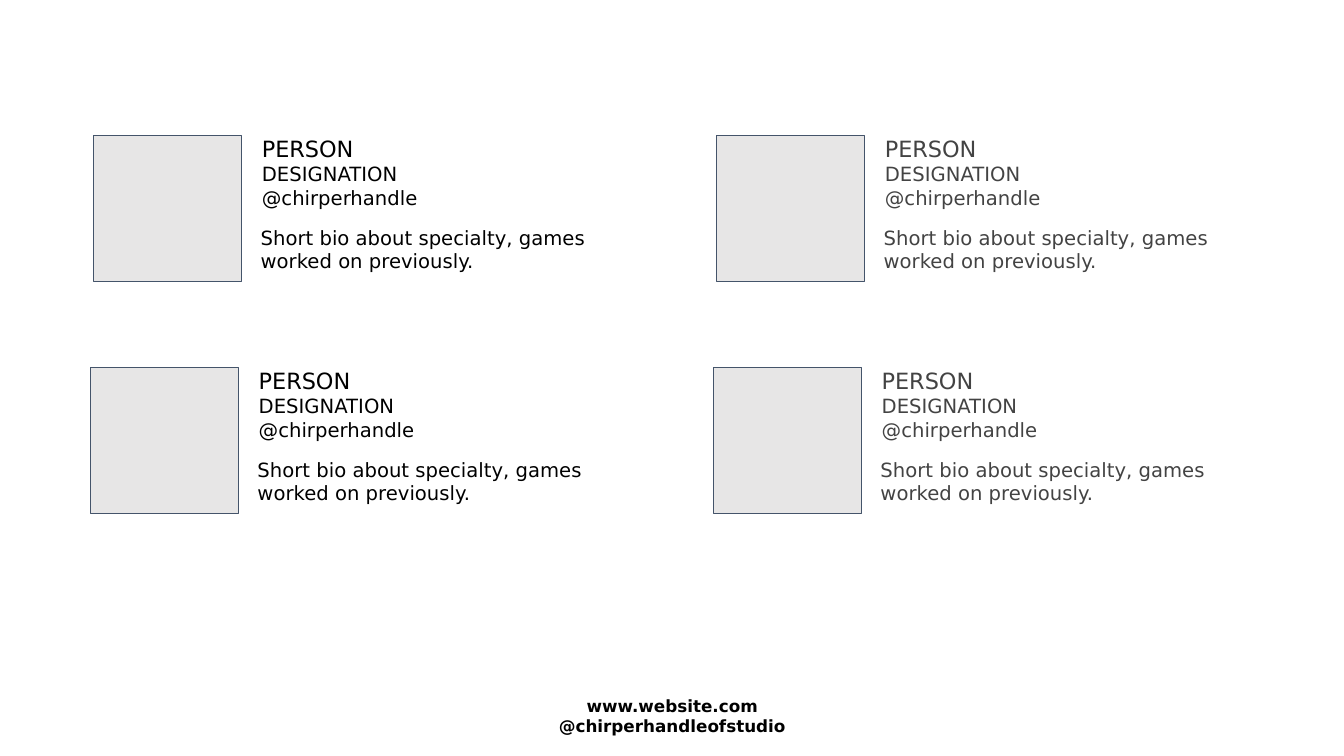
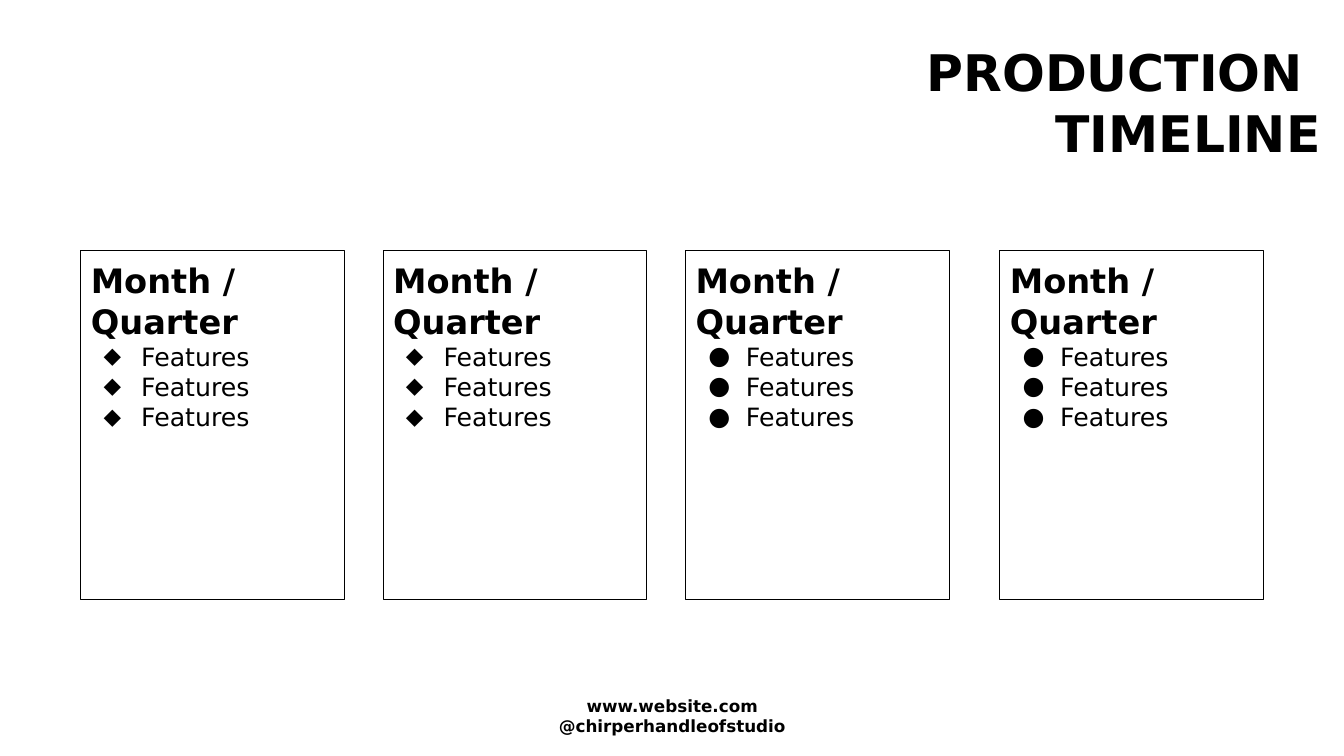
import pptx
import pptx.dml.color
import pptx.enum.shapes
import pptx.enum.text
import pptx.oxml.ns
import pptx.util
from lxml import etree

Cm = pptx.util.Cm
Pt = pptx.util.Pt
ALIGN = pptx.enum.text.PP_ALIGN
RECT = pptx.enum.shapes.MSO_SHAPE.RECTANGLE
FONT = "DejaVu Sans"
COLORS = {"black": "000000", "gray": "434343", "photo": "E7E6E6", "photo_line": "44546A"}


def rgb(name):
    return pptx.dml.color.RGBColor.from_string(COLORS[name])


def write(sp, lines, size=14, bold=False, color="black", align=ALIGN.LEFT, bullet=None):
    """Append one paragraph per line to the shape, filling an empty first one."""
    tf = sp.text_frame
    tf.word_wrap = True
    tf.vertical_anchor = pptx.enum.text.MSO_ANCHOR.TOP
    tf.margin_left = tf.margin_right = tf.margin_top = tf.margin_bottom = Cm(0.25)
    for line in lines:
        p = tf.add_paragraph() if tf.text else tf.paragraphs[0]
        p.alignment = align
        r = p.add_run()
        r.text = line
        r.font.name = FONT
        r.font.size = Pt(size)
        r.font.bold = bold
        r.font.color.rgb = rgb(color)
        if bullet:
            pPr = p._p.get_or_add_pPr()
            pPr.set("marL", str(Cm(1.27)))
            pPr.set("indent", str(-Cm(0.95)))
            buClr = etree.SubElement(pPr, pptx.oxml.ns.qn("a:buClr"))
            etree.SubElement(buClr, pptx.oxml.ns.qn("a:srgbClr"), val=COLORS[color])
            etree.SubElement(pPr, pptx.oxml.ns.qn("a:buFont"), typeface=FONT)
            etree.SubElement(pPr, pptx.oxml.ns.qn("a:buChar"), char=bullet)


prs = pptx.Presentation()
prs.slide_width = Cm(33.87)
prs.slide_height = Cm(19.05)
team, timeline = [prs.slides.add_slide(prs.slide_layouts[6]) for _ in range(2)]

# Team: two columns of two people, the lower row shifted slightly left
for col, color in enumerate(["black", "gray"]):
    for row in range(2):
        left = 2.36 + 15.7 * col - 0.08 * row
        top = 3.41 + 5.84 * row

        name = team.shapes.add_textbox(Cm(left + 3.99), Cm(top - 0.25), Cm(5.97), Cm(2.24))
        write(name, ["PERSON"], size=16, color=color)
        write(name, ["DESIGNATION @chirperhandle"], color=color)

        bio = team.shapes.add_textbox(Cm(left + 3.96), Cm(top + 2.03), Cm(10.13), Cm(2.97))
        write(bio, ["Short bio about specialty, games worked on previously."], color=color)

        photo = team.shapes.add_shape(RECT, Cm(left), Cm(top), Cm(3.73), Cm(3.68))
        photo.shadow.inherit = False
        photo.fill.solid()
        photo.fill.fore_color.rgb = rgb("photo")
        photo.line.color.rgb = rgb("photo_line")
        photo.line.width = Pt(0.75)

# Timeline: a title and four cards, the last one set a little apart
title = timeline.shapes.add_textbox(Cm(14.71), Cm(0.79), Cm(18.82), Cm(3.33))
write(title, ["PRODUCTION ", "TIMELINE"], size=36, bold=True, align=ALIGN.RIGHT)

for left, bullet in [(2.04, "⬥"), (9.66, "⬥"), (17.28, "●"), (25.2, "●")]:
    card = timeline.shapes.add_shape(RECT, Cm(left), Cm(6.31), Cm(6.64), Cm(8.79))
    card.shadow.inherit = False
    card.fill.background()
    card.line.color.rgb = rgb("black")
    card.line.width = Pt(0.75)
    write(card, ["Month / Quarter"], size=24, bold=True)
    write(card, ["Features"] * 3, size=18, bullet=bullet)

# Footer on every slide
for s in prs.slides:
    footer = s.shapes.add_textbox(Cm(12.78), Cm(17.27), Cm(8.33), Cm(1.47))
    write(footer, ["www.website.com", "@chirperhandleofstudio"],
          size=12, bold=True, align=ALIGN.CENTER)

prs.save("out.pptx")
